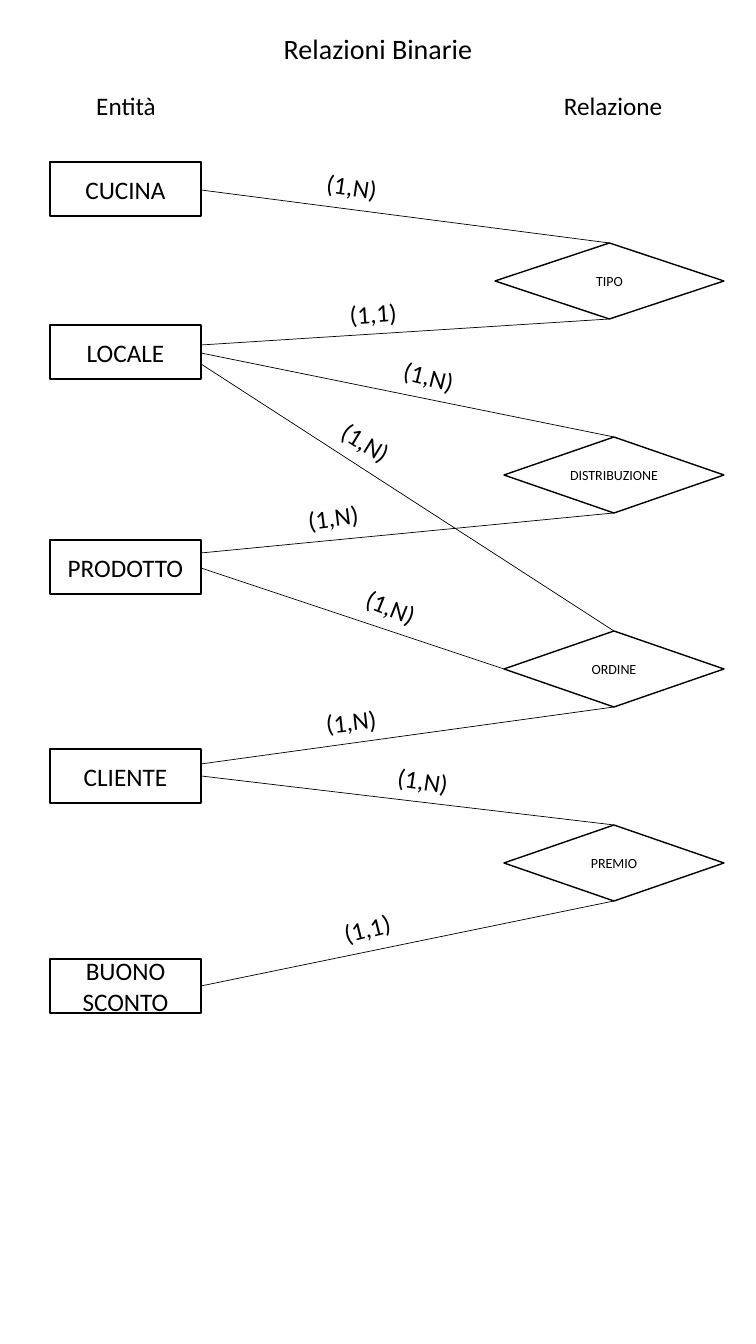
from dataclasses import dataclass
from typing import Any

from lxml.etree import SubElement
from pptx import Presentation
from pptx.dml.color import RGBColor as Rgb
from pptx.enum.shapes import MSO_CONNECTOR as Conn, MSO_SHAPE as Geo
from pptx.enum.text import MSO_ANCHOR as Anchor, MSO_AUTO_SIZE as Auto, PP_ALIGN as Align
from pptx.oxml.ns import qn
from pptx.util import Pt

PX = 914400 / 100.8
COLORS = {"ink": "000000", "paper": "FFFFFF"}
TOP, LEFT, BOTTOM = 0, 1, 2
ENTITY_X, ENTITY_W, ENTITY_H = 50, 151, 54
RELATION_RIGHT, RELATION_Y, RELATION_STEP, RELATION_H = 724, 243, 194, 76
SHAPE_FRAME = {"word_wrap": True, "vertical_anchor": Anchor.MIDDLE}
TITLE_FRAME = {"word_wrap": True, "auto_size": Auto.SHAPE_TO_FIT_TEXT}
LABEL_FRAME = {"word_wrap": False, "auto_size": Auto.SHAPE_TO_FIT_TEXT}


@dataclass
class Title:
    text: str
    x: int
    y: int
    w: int
    h: int
    size: int


@dataclass
class Entity:
    text: str
    y: int


@dataclass
class Relation:
    text: str
    w: int


@dataclass
class Link:
    relation: str
    site: int
    y: int
    label: str
    cx: int
    cy: int
    angle: float


TITLES = [
    Title("Relazioni Binarie", 123, 27, 510, 44, 20),
    Title("Entità", -32, 85, 316, 40, 18),
    Title("Relazione", 455, 85, 316, 40, 18),
]
ENTITIES = [
    Entity("CUCINA", 162),
    Entity("LOCALE", 325),
    Entity("PRODOTTO", 540),
    Entity("CLIENTE", 749),
    Entity("BUONO SCONTO", 959),
]
RELATIONS = [
    Relation("TIPO", 229),
    Relation("DISTRIBUZIONE", 220),
    Relation("ORDINE", 220),
    Relation("PREMIO", 220),
]
LINKS = [
    Link("TIPO", TOP, 190, "(1,N)", 352, 186, 8.6),
    Link("TIPO", BOTTOM, 345, "(1,1)", 373, 313, 356.2),
    Link("DISTRIBUZIONE", TOP, 353, "(1,N)", 429, 376, 13.8),
    Link("DISTRIBUZIONE", BOTTOM, 553, "(1,N)", 333, 517, 352.9),
    Link("ORDINE", TOP, 364, "(1,N)", 366, 442, 31.5),
    Link("ORDINE", LEFT, 568, "(1,N)", 391, 607, 22.1),
    Link("ORDINE", BOTTOM, 764, "(1,N)", 351, 721, 353.7),
    Link("PREMIO", TOP, 776, "(1,N)", 423, 780, 8.6),
    Link("PREMIO", BOTTOM, 986, "(1,1)", 367, 928, 345.9),
]


def px(*lengths: int) -> list[int]:
    return [round(n * PX) for n in lengths]


def write(sp: Any, text: str, size: int, frame: dict[str, Any]) -> None:
    tf = sp.text_frame
    for name, value in frame.items():
        setattr(tf, name, value)
    p = tf.paragraphs[0]
    p.alignment = Align.CENTER
    r = p.add_run()
    r.text = text
    for name, value in {"name": "Calibri", "size": Pt(size)}.items():
        setattr(r.font, name, value)
    r.font.color.rgb = Rgb.from_string(COLORS["ink"])


def ink_line(sp: Any, width: float) -> None:
    sp.line.color.rgb = Rgb.from_string(COLORS["ink"])
    sp.line.width = Pt(width)


def add_node(geo: Geo, box: list[int], text: str, size: int) -> Any:
    sp = shapes.add_shape(geo, *box)
    sp.shadow.inherit = False
    sp.fill.solid()
    sp.fill.fore_color.rgb = Rgb.from_string(COLORS["paper"])
    ink_line(sp, 1)
    write(sp, text, size, SHAPE_FRAME)
    return sp


def add_title(title: Title) -> None:
    sp = shapes.add_textbox(*px(title.x, title.y, title.w, title.h))
    write(sp, title.text, title.size, TITLE_FRAME)


def add_entity(entity: Entity) -> None:
    box = px(ENTITY_X, entity.y, ENTITY_W, ENTITY_H)
    add_node(Geo.RECTANGLE, box, entity.text, 18)


def add_relation(row: int, relation: Relation) -> Any:
    y = RELATION_Y + row * RELATION_STEP
    box = px(RELATION_RIGHT - relation.w, y, relation.w, RELATION_H)
    return add_node(Geo.FLOWCHART_DECISION, box, relation.text, 10)


def add_link(link: Link, diamond: Any) -> None:
    end = px(ENTITY_X + ENTITY_W, link.y)
    line = shapes.add_connector(Conn.STRAIGHT, *end, *end)
    line.begin_connect(diamond, link.site)
    ink_line(line, 0.5)
    SubElement(line._element.spPr, qn("a:effectLst"))


def add_label(link: Link) -> None:
    w, h = 72, 40
    sp = shapes.add_textbox(*px(link.cx - w // 2, link.cy - h // 2, w, h))
    sp.rotation = link.angle
    write(sp, link.label, 18, LABEL_FRAME)


prs = Presentation()
prs.slide_width, prs.slide_height = px(756, 1344)
shapes = prs.slides.add_slide(prs.slide_layouts[6]).shapes

for title in TITLES:
    add_title(title)
for entity in ENTITIES:
    add_entity(entity)
diamonds = {rel.text: add_relation(row, rel) for row, rel in enumerate(RELATIONS)}
for link in LINKS:
    add_link(link, diamonds[link.relation])
for link in LINKS:
    add_label(link)

prs.save("out.pptx")
